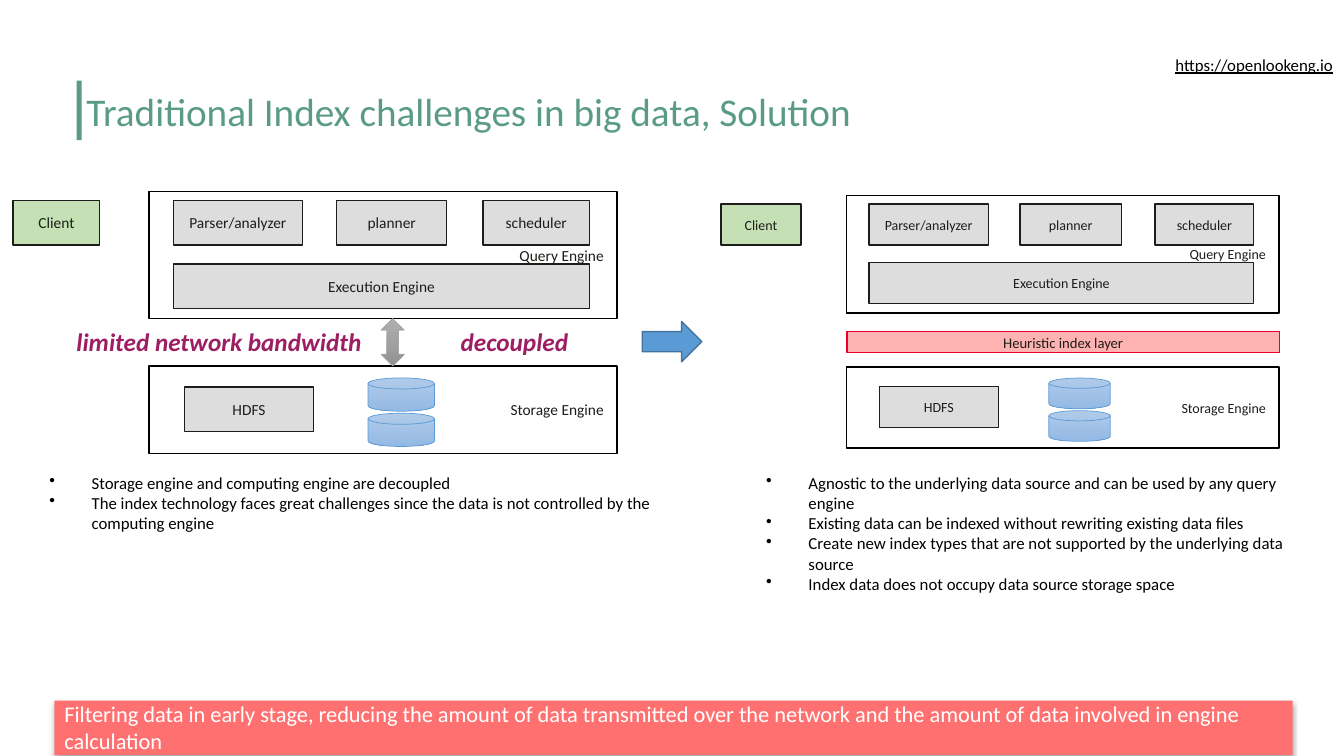
import pptx
import pptx.util
import pptx.dml.color
import pptx.enum.shapes
import pptx.enum.text
import pptx.oxml
import pptx.oxml.ns

Inches = pptx.util.Inches
Shape = pptx.enum.shapes.MSO_SHAPE
Align = pptx.enum.text.PP_ALIGN
Anchor = pptx.enum.text.MSO_ANCHOR

FONT = "Calibri"
LINK = "https://openlookeng.io"
TITLE = "Traditional Index challenges in big data, Solution"
BANNER = ("Filtering data in early stage, reducing the amount of data transmitted over "
          "the network and the amount of data involved in engine calculation")
CHALLENGES = [
    "Storage engine and computing engine are decoupled",
    "The index technology faces great challenges since the data is not controlled by the computing engine",
]
SOLUTIONS = [
    "Agnostic to the underlying data source and can be used by any query engine",
    "Existing data can be indexed without rewriting existing data files",
    "Create new index types that are not supported by the underlying data source",
    "Index data does not occupy data source storage space",
]
BULLET_LISTS = [(CHALLENGES, (0.39, 4.64, 6.29, 0.71)), (SOLUTIONS, (7.5, 4.64, 5.48, 1.31))]
REMARKS = [("limited network bandwidth", (0.66, 3.19, 3.06, 0.4)), ("decoupled", (4.47, 3.19, 1.28, 0.4))]

GREY, GREEN, INK = "DDDDDD", "C5E0B4", "1D1D1A"
DISK_SHADES = ("B1CBE9", "93B9E4")
ARROW_SHADES = ("AFAFAF", "939393")

BOX_HEIGHT = 0.44
QUERY_PARTS = [
    ("Client", 0, 0.09, 0.86, GREEN),
    ("Parser/analyzer", 1.59, 0.09, 1.28, GREY),
    ("planner", 3.21, 0.09, 1.09, GREY),
    ("scheduler", 4.66, 0.09, 1.06, GREY),
    ("Execution Engine", 1.59, 0.72, 4.13, GREY),
]
ENGINE_LEFT, ENGINE_WIDTH = 1.35, 4.64
QUERY_HEIGHT, STORAGE_HEIGHT = 1.26, 0.87
DISK_TOPS = (0.12, 0.47)
DIAGRAMS = [
    {"left": 0.13, "query_top": 1.9, "storage_top": 3.63, "scale": 1, "size": 11},
    {"left": 7.15, "query_top": 1.94, "storage_top": 3.64, "scale": 0.924, "size": 10},
]

deck = pptx.Presentation()
deck.slide_width, deck.slide_height = Inches(13.33), Inches(7.5)
page = deck.slides.add_slide(deck.slide_layouts[6])


def color(code):
    return pptx.dml.color.RGBColor.from_string(code)


def write(box, lines, size=12, ink="000000", align=Align.LEFT, anchor=Anchor.TOP,
          insets=(0.1, 0.05, 0.1, 0.05), wrap=True, bold=False, italic=False,
          underline=False, bullets=False, spacing=None):
    frame = box.text_frame
    frame.word_wrap = wrap
    frame.vertical_anchor = anchor
    frame.margin_left, frame.margin_top, frame.margin_right, frame.margin_bottom = map(Inches, insets)
    for index, line in enumerate(lines):
        para = frame.add_paragraph() if index else frame.paragraphs[0]
        para.alignment = align
        if spacing:
            para.line_spacing = spacing
        if bullets:
            properties = para._p.get_or_add_pPr()
            properties.set("marL", str(Inches(0.42)))
            properties.set("indent", str(-Inches(0.42)))
            bullet = pptx.oxml.parse_xml(f'<a:buChar {pptx.oxml.ns.nsdecls("a")} char="•"/>')
            properties.append(bullet)
        span = para.add_run()
        span.text = line
        font = span.font
        font.name, font.size, font.bold, font.italic = FONT, pptx.util.Pt(size), bold, italic
        font.underline = underline
        font.color.rgb = color(ink)


def text(lines, place, **form):
    box = page.shapes.add_textbox(*map(Inches, place))
    write(box, lines, **form)


def shape(kind, place, fill=None, line=None, width=1):
    box = page.shapes.add_shape(kind, *map(Inches, place))
    box.shadow.inherit = False
    if fill is None:
        box.fill.background()
    elif isinstance(fill, tuple):
        box.fill.gradient()
        box.fill.gradient_angle = 270
        for stop, shade in zip(box.fill.gradient_stops, fill):
            stop.color.rgb = color(shade)
    else:
        box.fill.solid()
        box.fill.fore_color.rgb = color(fill)
    if line:
        box.line.color.rgb = color(line)
        box.line.width = pptx.util.Pt(width)
    else:
        box.line.fill.background()
    return box


def label_box(label, place, fill=None, line=INK, size=11, align=Align.CENTER):
    box = shape(Shape.RECTANGLE, place, fill, line)
    write(box, [label], size=size, ink=INK, align=align, anchor=Anchor.MIDDLE,
          insets=(0.13, 0.07, 0.13, 0.07))


def diagram(left, query_top, storage_top, scale, size):
    def place(top, x, y, width, height):
        return left + x * scale, top + y * scale, width * scale, height * scale

    for label, x, y, width, fill in QUERY_PARTS:
        label_box(label, place(query_top, x, y, width, BOX_HEIGHT), fill, size=size)
    label_box("Storage Engine", place(storage_top, ENGINE_LEFT, 0, ENGINE_WIDTH, STORAGE_HEIGHT),
              "FFFFFF", "000000", size, Align.RIGHT)
    for y in DISK_TOPS:
        shape(Shape.FLOWCHART_MAGNETIC_DISK, place(storage_top, 3.52, y, 0.66, 0.33),
              DISK_SHADES, "5B9BD5", 0.5)
    label_box("HDFS", place(storage_top, 1.7, 0.21, 1.28, BOX_HEIGHT), GREY, size=size)
    label_box("Query Engine", place(query_top, ENGINE_LEFT, 0, ENGINE_WIDTH, QUERY_HEIGHT),
              None, "000000", size, Align.RIGHT)


text([LINK], (11.54, 0.52, 1.81, 0.24), align=Align.RIGHT, anchor=Anchor.MIDDLE,
     insets=(0.04, 0.02, 0.13, 0.02), underline=True)
shape(Shape.RECTANGLE, (0.76, 0.8, 0.05, 0.59), "5A9B83")
text([TITLE], (0.76, 0.44, 7.83, 0.95), size=28, ink="5A9B83", anchor=Anchor.BOTTOM, spacing=0.9)

for settings in DIAGRAMS:
    diagram(**settings)
label_box("Heuristic index layer", (8.4, 3.29, 4.29, 0.21), "FFB2B2", "E9002F", 10.5)
shape(Shape.UP_DOWN_ARROW, (3.78, 3.16, 0.23, 0.47), ARROW_SHADES, "A5A5A5", 0.5)
for remark, place in REMARKS:
    text([remark], place, size=18, ink="9D1F63", bold=True, italic=True, wrap=False)
for lines, place in BULLET_LISTS:
    text(lines, place, bullets=True)
shape(Shape.RIGHT_ARROW, (6.37, 3.19, 0.59, 0.4), "5B9BD5", "43739E")

banner = shape(Shape.RECTANGLE, (0.54, 6.95, 12.28, 0.54), "FF7171")
write(banner, [BANNER], size=16, ink="FFFFFF", insets=(0.1, 0, 0.1, 0))
effects = banner._element.spPr.find(pptx.oxml.ns.qn("a:effectLst"))
effects.append(pptx.oxml.parse_xml(
    f'<a:outerShdw {pptx.oxml.ns.nsdecls("a")} blurRad="{pptx.util.Pt(3.5)}" '
    f'dist="{pptx.util.Pt(2.2)}" dir="5400000" rotWithShape="0">'
    '<a:srgbClr val="000000"><a:alpha val="32000"/></a:srgbClr></a:outerShdw>'))

deck.save("out.pptx")
